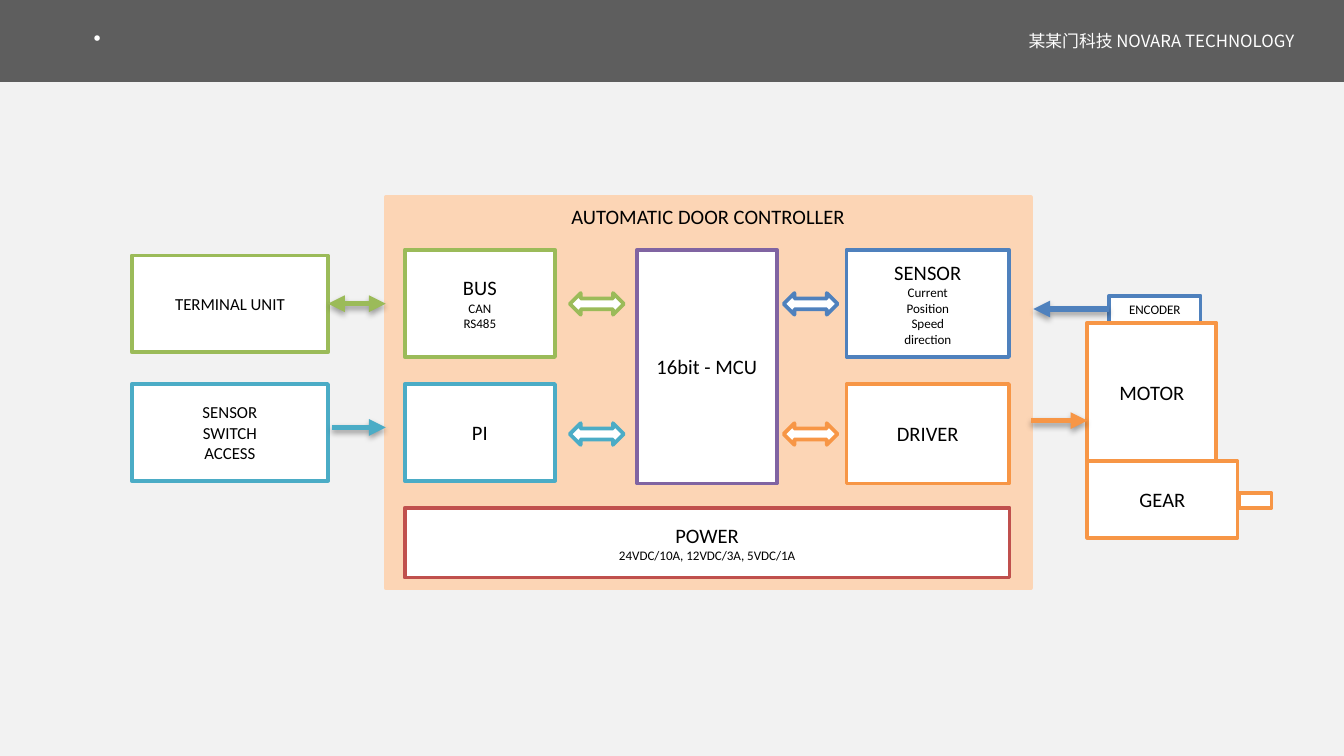
from lxml.etree import SubElement
from pptx import Presentation
from pptx.dml.color import RGBColor
from pptx.enum.shapes import MSO_CONNECTOR, MSO_SHAPE
from pptx.enum.text import MSO_ANCHOR, MSO_AUTO_SIZE, PP_ALIGN
from pptx.oxml import parse_xml
from pptx.oxml.ns import nsdecls, qn
from pptx.util import Cm, Pt

BLACK = RGBColor(0x00, 0x00, 0x00)
WHITE = RGBColor(0xFF, 0xFF, 0xFF)
PAPER = RGBColor(0xF2, 0xF2, 0xF2)
GRAY = RGBColor(0x5E, 0x5E, 0x5E)
PEACH = RGBColor(0xFC, 0xD5, 0xB5)
PURPLE = RGBColor(0x80, 0x64, 0xA2)
RED = RGBColor(0xC0, 0x50, 0x4D)
GREEN = RGBColor(0x9B, 0xBB, 0x59)
TEAL = RGBColor(0x4B, 0xAC, 0xC6)
ORANGE = RGBColor(0xF7, 0x96, 0x46)
BLUE = RGBColor(0x4F, 0x81, 0xBD)

SHADOW = (
    f'<a:effectLst {nsdecls("a")}>'
    '<a:outerShdw blurRad="39370" dist="22860" dir="5400000" rotWithShape="0">'
    '<a:srgbClr val="000000"><a:alpha val="35000"/></a:srgbClr>'
    '</a:outerShdw></a:effectLst>'
)


class Board:
    """Holds the style and the current slide."""

    font = "Calibri"
    head_font = "Noto Sans CJK SC"
    big, mid, small = 11, 9, 7

    def __init__(self, slide):
        self.slide = slide
        self.shapes = slide.shapes
        fill = slide.background.fill
        fill.solid()
        fill.fore_color.rgb = PAPER

    def put_text(self, frame, lines, sizes, font, color, align=PP_ALIGN.CENTER):
        """Fill a frame; the last size holds for all further lines."""
        frame.text = "\n".join(lines)
        for i, para in enumerate(frame.paragraphs):
            para.alignment = align
            para.font.size = Pt(sizes[min(i, len(sizes) - 1)])
            para.font.name = font
            para.font.color.rgb = color

    def header(self, frame, text, size, align):
        frame.margin_left = frame.margin_right = Cm(0.36)
        frame.margin_top = frame.margin_bottom = Cm(0.18)
        frame.word_wrap = False
        frame.auto_size = MSO_AUTO_SIZE.NONE
        self.put_text(frame, [text], [size], self.head_font, WHITE, align)

    def title(self, text, x, y, w, h):
        title = self.shapes.title
        title.left, title.top, title.width, title.height = map(Cm, (x, y, w, h))
        self.header(title.text_frame, text, 14, PP_ALIGN.CENTER)
        title.text_frame.vertical_anchor = MSO_ANCHOR.MIDDLE

    def label(self, text, x, y, w, h):
        box = self.shapes.add_textbox(*map(Cm, (x, y, w, h)))
        self.header(box.text_frame, text, 9, PP_ALIGN.LEFT)

    def shape(self, kind, x, y, w, h, line, fill=WHITE):
        shape = self.shapes.add_shape(kind, *map(Cm, (x, y, w, h)))
        shape.shadow.inherit = False
        shape.fill.solid()
        shape.fill.fore_color.rgb = fill
        if line is None:
            shape.line.fill.background()
        else:
            shape.line.color.rgb = line
            shape.line.width = Pt(2)
        return shape

    def box(self, x, y, w, h, line, lines=(), sizes=(big, small), fill=WHITE,
            anchor=MSO_ANCHOR.MIDDLE):
        shape = self.shape(MSO_SHAPE.RECTANGLE, x, y, w, h, line, fill)
        if lines:
            shape.text_frame.vertical_anchor = anchor
            self.put_text(shape.text_frame, lines, sizes, self.font, BLACK)

    def swap(self, x, y, line):
        """Hollow two-way block arrow."""
        self.shape(MSO_SHAPE.LEFT_RIGHT_ARROW, x, y, 1.02, 0.41, line)

    def arrow(self, x1, x2, y, color, both=False):
        link = self.shapes.add_connector(
            MSO_CONNECTOR.STRAIGHT, Cm(x1), Cm(y), Cm(x2), Cm(y))
        link.line.color.rgb = color
        link.line.width = Pt(3)
        props = link._element.spPr
        ends = ("headEnd", "tailEnd") if both else ("tailEnd",)
        for end in ends:
            SubElement(props.find(qn("a:ln")), qn(f"a:{end}"), type="triangle")
        props.append(parse_xml(SHADOW))


def main():
    deck = Presentation()
    deck.slide_width, deck.slide_height = Cm(25.4), Cm(14.29)
    board = Board(deck.slides.add_slide(deck.slide_layouts[5]))

    # Header; the band goes behind the title
    board.box(0, 0, 25.4, 1.55, None, fill=GRAY)
    tree = board.shapes._spTree
    tree.append(board.shapes.title._element)
    board.title("·", 1.24, 0.25, 0.81, 0.94)
    board.label("某某门科技 NOVARA TECHNOLOGY", 19.08, 0.41, 5.84, 0.74)

    # Controller
    top, low = 4.72, 7.26
    left, right = 7.65, 16
    board.box(7.29, 3.73, 12.19, 7.39, PEACH, ["AUTOMATIC DOOR CONTROLLER"],
              fill=PEACH, anchor=MSO_ANCHOR.TOP)
    board.box(12.04, top, 2.64, 4.42, PURPLE, ["16bit - MCU"])
    board.box(left, 9.6, 11.43, 1.32, RED,
              ["POWER", "24VDC/10A, 12VDC/3A, 5VDC/1A"])
    board.box(left, top, 2.84, 2.03, GREEN, ["BUS", "CAN", "RS485"])
    board.box(left, low, 2.84, 1.83, TEAL, ["PI"])
    board.box(right, low, 3.07, 1.88, ORANGE, ["DRIVER"])
    board.box(right, top, 3.07, 2.03, BLUE,
              ["SENSOR", "Current", "Position", "Speed", "direction"])
    for y, pair in ((5.54, (GREEN, BLUE)), (8, (TEAL, ORANGE))):
        for x, color in zip((10.77, 14.81), pair):
            board.swap(x, y, color)

    # Drive train
    board.box(20.96, 5.59, 1.73, 0.51, BLUE, ["ENCODER"], [board.small])
    board.box(20.55, 6.1, 2.44, 2.62, ORANGE, ["MOTOR"])
    board.box(20.55, 8.72, 2.84, 1.45, ORANGE, ["GEAR"])
    board.box(23.42, 9.32, 0.61, 0.28, ORANGE)
    board.arrow(20.96, 19.53, 5.84, BLUE)
    board.arrow(19.48, 20.55, 7.95, ORANGE)

    # Inputs
    board.box(2.49, low, 3.71, 1.83, TEAL, ["SENSOR", "SWITCH", "ACCESS"],
              [board.mid])
    board.box(2.49, 4.83, 3.71, 1.83, GREEN, ["TERMINAL UNIT"], [board.mid])
    board.arrow(6.27, 7.29, 8.08, TEAL)
    board.arrow(6.2, 7.29, 5.74, GREEN, both=True)

    deck.save("out.pptx")


if __name__ == "__main__":
    main()
